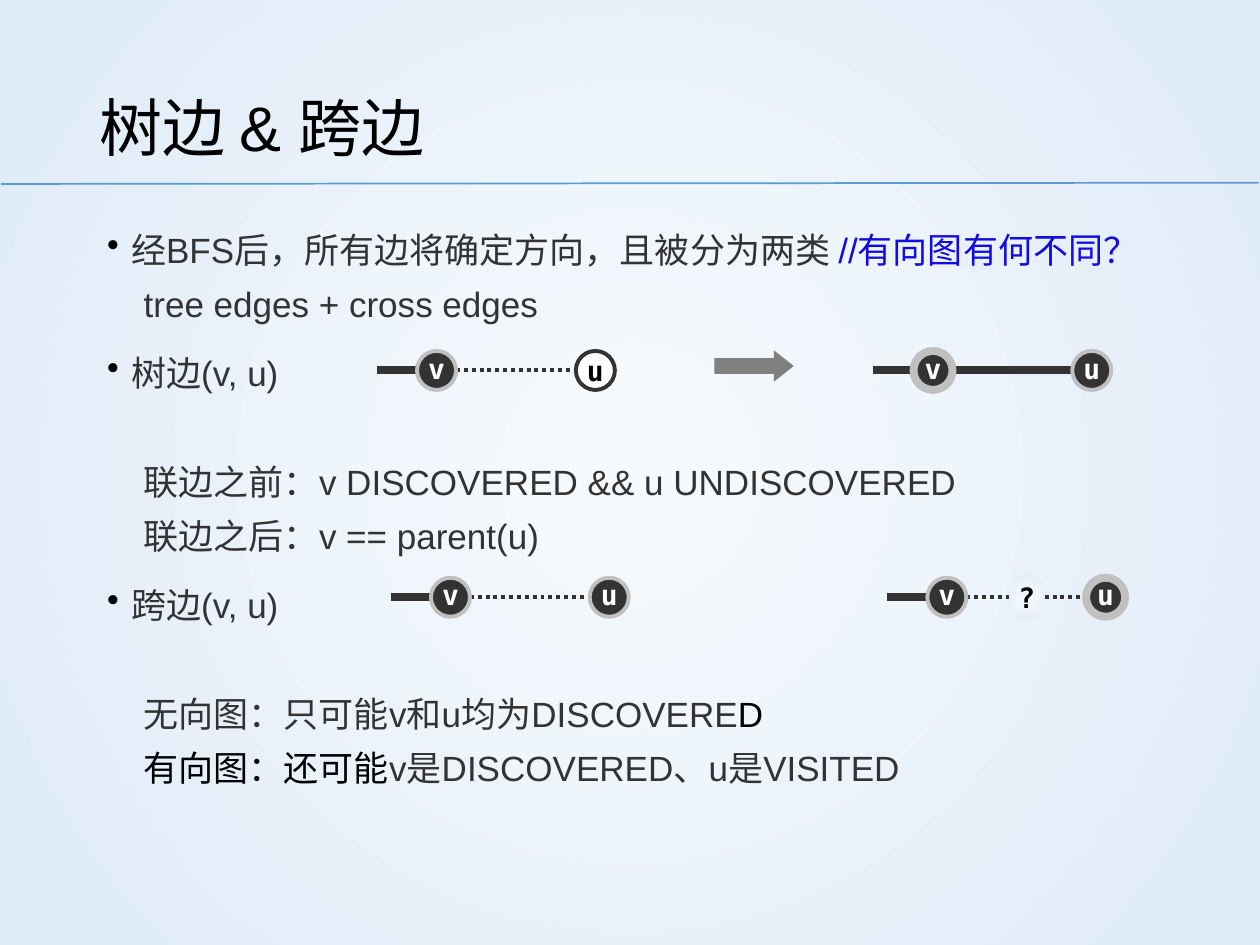
from lxml import etree
from pptx import Presentation
from pptx import util as u
from pptx.dml.color import RGBColor
from pptx.enum import dml, shapes, text
from pptx.oxml.ns import qn

INK, RING, BLACK, WHITE, BLUE = "333333", "C0C0C0", "000000", "FFFFFF", "120CE0"
SANS, MONO = "Arial", "DejaVu Sans Mono"


def rgb(code):
    return RGBColor.from_string(code)


class Deck:
    """Draws one slide on a grid of 100 columns by 75 rows."""

    def __init__(self):
        self.prs = Presentation()
        self.prs.slide_width, self.prs.slide_height = u.Inches(10), u.Inches(7.5)
        self.cell = self.prs.slide_width / 100
        self.slide = self.prs.slides.add_slide(self.prs.slide_layouts[6])
        self.glow(self.slide.background.fill)

    def grid(self, *cells):
        return [round(c * self.cell) for c in cells]

    def glow(self, fill):
        fill.gradient()
        for stop, code in zip(fill.gradient_stops, ("F7FAFD", "DEEBF7")):
            stop.color.rgb = rgb(code)
        for lin in list(self.slide.element.iter(qn("a:lin"))):
            ring = etree.Element(qn("a:path"), path="circle")
            etree.SubElement(ring, qn("a:fillToRect"), l="50000", t="50000", r="50000", b="50000")
            lin.getparent().replace(lin, ring)

    def font(self, par, name, size, color, bold=False):
        font = par.font
        font.name, font.size, font.bold = name, u.Pt(size), bold
        font.color.rgb = rgb(color)

    def box(self, x, y, w, h, pads, anchor):
        frame = self.slide.shapes.add_textbox(*self.grid(x, y, w, h)).text_frame
        frame.word_wrap = True
        frame.vertical_anchor = anchor
        frame.margin_left, frame.margin_top, frame.margin_right, frame.margin_bottom = self.grid(*pads)
        return frame

    def title(self, words):
        frame = self.box(6.9, 4, 86.2, 10.8, (1, 0.5, 1, 0.5), text.MSO_ANCHOR.MIDDLE)
        par = frame.paragraphs[0]
        par.text, par.line_spacing = words, 1.2
        self.font(par, SANS, 36, BLACK)

    def body(self, rows):
        frame = self.box(6.9, 16.3, 86.2, 51.3, (1.6, 0.8, 0, 0.8), text.MSO_ANCHOR.TOP)
        for i, (dot, gap, runs) in enumerate(rows):
            par = frame.paragraphs[0] if i == 0 else frame.add_paragraph()
            par.line_spacing, par.space_before = 1.3, u.Pt(gap)
            self.indent(par, dot)
            self.font(par, SANS, 20, INK)
            for words, color in runs:
                run = par.add_run()
                run.text = words
                if color != INK:
                    run.font.color.rgb = rgb(color)

    def indent(self, par, dot):
        props = par._p.get_or_add_pPr()
        left, hang = self.grid(1.9, -1.9) if dot else self.grid(2.9, 0)
        props.set("marL", str(left))
        props.set("indent", str(hang))
        if dot:
            tint = etree.SubElement(props, qn("a:buClr"))
            etree.SubElement(tint, qn("a:srgbClr"), val=BLACK)
            etree.SubElement(props, qn("a:buChar"), char="•")
        else:
            etree.SubElement(props, qn("a:buNone"))

    def line(self, x1, y1, x2, y2, color=INK, width=4.5, dots=False):
        link = self.slide.shapes.add_connector(
            shapes.MSO_CONNECTOR.STRAIGHT, *self.grid(x1, y1, x2, y2))
        link.line.color.rgb, link.line.width = rgb(color), u.Pt(width)
        if dots:
            link.line.dash_style = dml.MSO_LINE.ROUND_DOT
        etree.SubElement(link._element.spPr, qn("a:effectLst"))

    def shape(self, kind, x, y, w, h, fill=None, edge=None, width=0):
        item = self.slide.shapes.add_shape(kind, *self.grid(x, y, w, h))
        item.shadow.inherit = False
        if fill:
            item.fill.solid()
            item.fill.fore_color.rgb = rgb(fill)
        else:
            self.glow(item.fill)
        if edge:
            item.line.color.rgb, item.line.width = rgb(edge), u.Pt(width)
        else:
            item.line.fill.background()
        return item

    def disc(self, x, y, w, h, sign, ink, low=0.0, **look):
        item = self.shape(shapes.MSO_SHAPE.OVAL, x, y - h / 2, w, h, **look)
        frame = item.text_frame
        frame.word_wrap = False
        frame.vertical_anchor = text.MSO_ANCHOR.MIDDLE
        frame.margin_left = frame.margin_top = frame.margin_right = 0
        frame.margin_bottom = self.grid(low)[0]
        par = frame.paragraphs[0]
        par.text, par.alignment = sign, text.PP_ALIGN.CENTER
        self.font(par, MONO, 16, ink, True)

    def node(self, x, y, sign, ring=2.25, fresh=False):
        if fresh:
            self.disc(x, y, 3.1, 3.1, sign, BLACK, fill=WHITE, edge=INK, width=ring)
        else:
            self.disc(x, y, 3.1, 3.1, sign, WHITE, 0.4, fill=INK, edge=RING, width=ring)

    def pair(self, x, y, dots=True, fresh=False, rings=(2.25, 2.25)):
        far = x + 12.6
        self.line(x + 3.1, y, far, y, width=2.25 if dots else 4.5, dots=dots)
        self.line(x - 3.2, y, x, y)
        self.node(x, y, "v", rings[0])
        self.node(far, y, "u", rings[1], fresh)


def main():
    deck = Deck()
    deck.line(0.1, 14.6, 99.9, 14.5, "5B9BD5", 1)
    deck.title("树边 & 跨边")
    deck.body([
        (True, 6, [("经BFS后，所有边将确定方向，且被分为两类 ", INK), ("//有向图有何不同？", BLUE)]),
        (False, 0, [("tree edges + cross edges", INK)]),
        (True, 8, [("树边(v, u)", INK)]),
        (False, 31, [("联边之前：v DISCOVERED && u UNDISCOVERED", INK)]),
        (False, 0, [("联边之后：v == parent(u)", INK)]),
        (True, 8, [("跨边(v, u)", INK)]),
        (False, 31, [("无向图：只可能v和u均为DISCOVERE", INK), ("D", BLACK)]),
        (False, 0, [("有向图：还可能", BLACK), ("v是DISCOVERED、u是VISITED", INK)]),
    ])
    tree, cross, step = 29.4, 47.4, 39.4
    deck.pair(33.1, tree, fresh=True)
    deck.pair(33.1 + step, tree, dots=False, rings=(4.5, 2.25))
    deck.pair(34.2, cross)
    deck.pair(34.2 + step, cross, rings=(2.25, 4.5))
    deck.disc(80.1, cross, 2.8, 3.8, "?", BLACK)
    arrow = deck.shape(shapes.MSO_SHAPE.RIGHT_ARROW, 56.7, 27.8, 6.3, 2.5, fill="808080")
    arrow.adjustments[0], arrow.adjustments[1] = 0.5, 0.63
    deck.prs.save("out.pptx")


if __name__ == "__main__":
    main()
